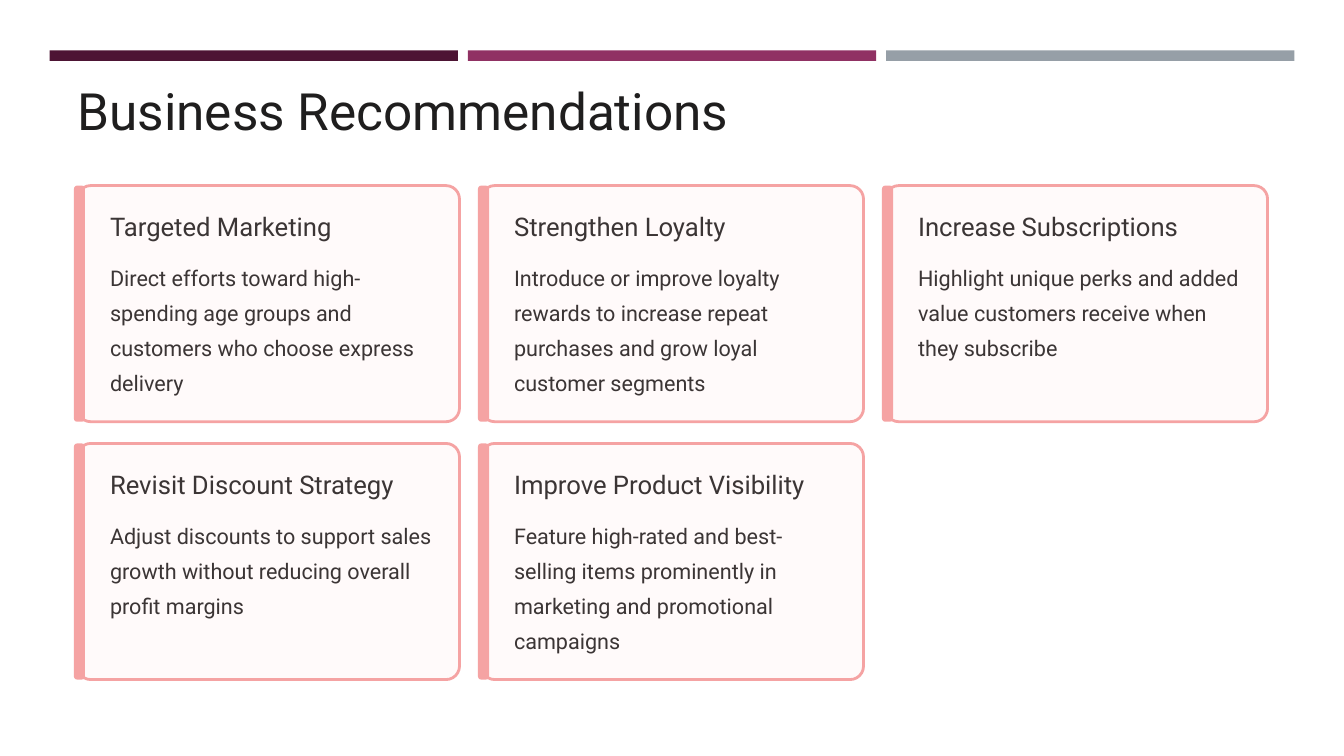
from dataclasses import dataclass

import pptx
import pptx.dml.color
import pptx.enum.shapes
import pptx.enum.text
import pptx.util

Pt = pptx.util.Pt
SHAPE = pptx.enum.shapes.MSO_SHAPE
PINK, CREAM, INK, TITLE_INK = "F5A3A3", "FFFAFA", "3B3535", "1F1E1E"

BAR_LEFT, BAR_TOP, BAR_STEP = 42.5, 43.2, 358.55
CARD_LEFT, CARD_TOP = 66.24, 159.12
CARD_WIDTH, CARD_HEIGHT = 327.6, 202.4
COLUMN_STEP, ROW_STEP, COLUMNS = 346.32, 221, 3
TEXT_INDENT, TEXT_WIDTH = 28.08, 278


@dataclass
class Box:
    left: float
    top: float
    width: float
    height: float

    def lengths(self) -> list:
        return [Pt(v) for v in (self.left, self.top, self.width, self.height)]


@dataclass
class Card:
    heading: str
    body: str


BAR_COLOURS = ["4D1434", "903163", "969FA7"]
CARDS = [
    Card("Targeted Marketing",
         "Direct efforts toward high-spending age groups and customers who choose express delivery"),
    Card("Strengthen Loyalty",
         "Introduce or improve loyalty rewards to increase repeat purchases and grow loyal customer segments"),
    Card("Increase Subscriptions",
         "Highlight unique perks and added value customers receive when they subscribe"),
    Card("Revisit Discount Strategy",
         "Adjust discounts to support sales growth without reducing overall profit margins"),
    Card("Improve Product Visibility",
         "Feature high-rated and best-selling items prominently in marketing and promotional campaigns"),
]


def rgb(value: str) -> pptx.dml.color.RGBColor:
    return pptx.dml.color.RGBColor.from_string(value)


def add_block(s, kind, box: Box, fill: str, line: str = "", corner: float = 0) -> None:
    sp = s.shapes.add_shape(kind, *box.lengths())
    sp.shadow.inherit = False
    sp.fill.solid()
    sp.fill.fore_color.rgb = rgb(fill)
    if line:
        sp.line.color.rgb = rgb(line)
        sp.line.width = Pt(2.4)
    else:
        sp.line.fill.background()
    if corner:
        sp.adjustments[0] = corner


def set_text(sp, text: str, size: float, spacing: float, colour: str) -> None:
    tf = sp.text_frame
    frame_format = {
        "margin_left": 0, "margin_top": 0, "margin_right": 0, "margin_bottom": 0,
        "word_wrap": True,
        "auto_size": pptx.enum.text.MSO_AUTO_SIZE.NONE,
        "vertical_anchor": pptx.enum.text.MSO_ANCHOR.TOP,
    }
    for name, value in frame_format.items():
        setattr(tf, name, value)
    p = tf.paragraphs[0]
    p.alignment = pptx.enum.text.PP_ALIGN.LEFT
    p.line_spacing = Pt(spacing)
    r = p.add_run()
    r.text = text
    for name, value in {"name": "Roboto", "size": Pt(size)}.items():
        setattr(r.font, name, value)
    r.font.color.rgb = rgb(colour)


def add_text(s, box: Box, text: str, size: float, spacing: float) -> None:
    set_text(s.shapes.add_textbox(*box.lengths()), text, size, spacing, INK)


def add_card(s, card: Card, left: float, top: float) -> None:
    add_block(s, SHAPE.ROUNDED_RECTANGLE, Box(left, top, CARD_WIDTH, CARD_HEIGHT),
              CREAM, PINK, 0.057)
    add_block(s, SHAPE.ROUNDED_RECTANGLE, Box(left - 2.88, top, 9.5, CARD_HEIGHT),
              PINK, corner=0.295)
    text_left = left + TEXT_INDENT
    add_text(s, Box(text_left, top + 20.9, TEXT_WIDTH, 27.5), card.heading, 22, 27.5)
    add_text(s, Box(text_left, top + 60.3, TEXT_WIDTH, 121), card.body, 18.5, 30)


def main() -> None:
    prs = pptx.Presentation()
    prs.slide_width, prs.slide_height = Pt(1152), Pt(648)
    s = prs.slides.add_slide(prs.slide_layouts[5])

    title = s.shapes.title
    title.left, title.top, title.width, title.height = Box(CARD_LEFT, 65.5, 1020, 55.4).lengths()
    set_text(title, "Business Recommendations", 44, 55, TITLE_INK)

    for i, colour in enumerate(BAR_COLOURS):
        add_block(s, SHAPE.RECTANGLE, Box(BAR_LEFT + i * BAR_STEP, BAR_TOP, 350, 9), colour)

    for i, card in enumerate(CARDS):
        row, column = divmod(i, COLUMNS)
        add_card(s, card, CARD_LEFT + column * COLUMN_STEP, CARD_TOP + row * ROW_STEP)

    prs.save("out.pptx")


if __name__ == "__main__":
    main()
